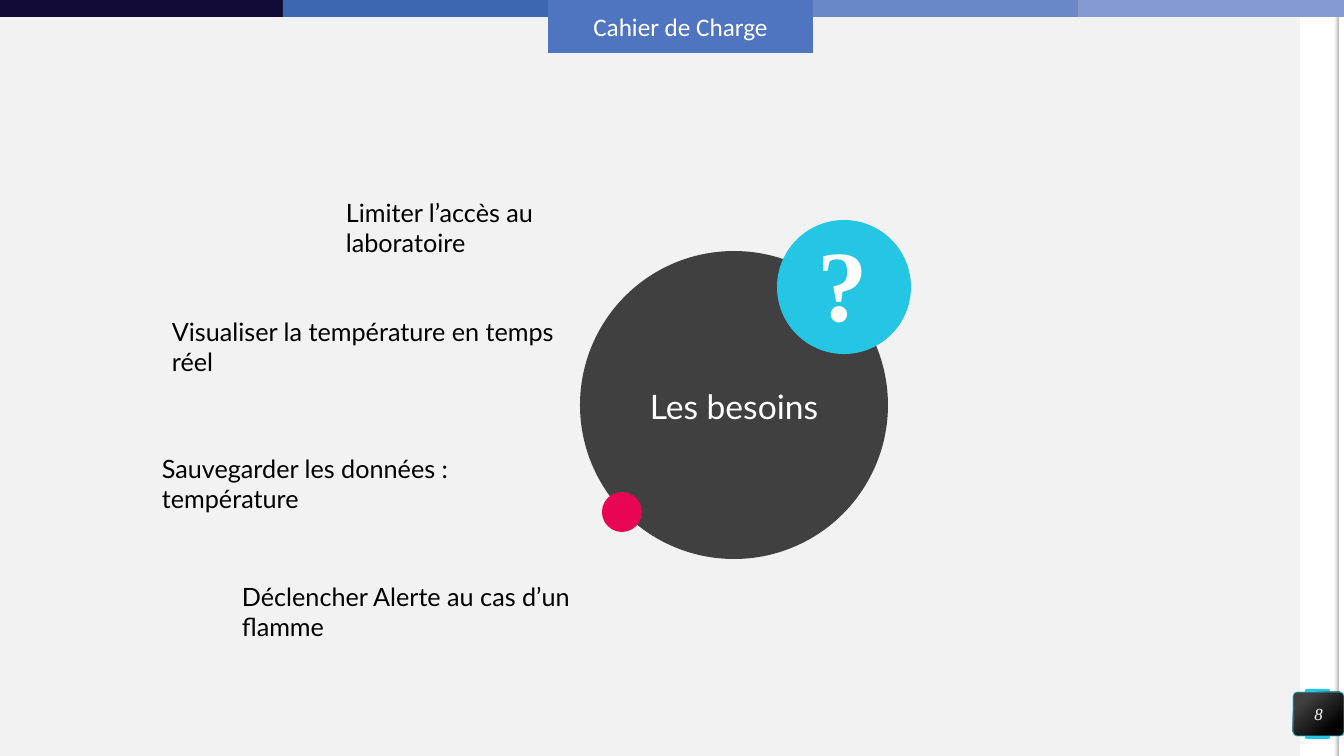
from lxml import etree
from pptx import Presentation
from pptx.dml.color import RGBColor
from pptx.enum.shapes import MSO_SHAPE
from pptx.enum.text import MSO_ANCHOR, PP_ALIGN
from pptx.oxml.ns import qn
from pptx.util import Pt

RECT, ROUND, OVAL = MSO_SHAPE.RECTANGLE, MSO_SHAPE.ROUNDED_RECTANGLE, MSO_SHAPE.OVAL
MIDDLE, CENTER = MSO_ANCHOR.MIDDLE, PP_ALIGN.CENTER
PX = 914400 / 100.8
W, H = 1344, 756

prs = Presentation()
prs.slide_width, prs.slide_height = round(W * PX), round(H * PX)
slide = prs.slides.add_slide(prs.slide_layouts[5])
rgb = RGBColor.from_string
slide.background.fill.solid()
slide.background.fill.fore_color.rgb = rgb("F2F2F2")


def add_block(kind, box, color):
    sp = slide.shapes.add_shape(kind, *[round(v * PX) for v in box])
    sp.shadow.inherit = False
    sp.fill.solid()
    sp.fill.fore_color.rgb = rgb(color)
    sp.line.fill.background()
    return sp


def write(sp, text, size, font, color, align=None, margin=None):
    tf = sp.text_frame
    tf.word_wrap = True
    if margin is not None:
        tf.margin_left = tf.margin_right = tf.margin_top = tf.margin_bottom = margin
    p = tf.paragraphs[0]
    p.alignment = align
    r = p.add_run()
    r.text = text
    r.font.size, r.font.name = Pt(size), font
    r.font.color.rgb = rgb(color)
    return p, r


# Right margin and its shaded edge
add_block(RECT, (1300, 0, 40, H), "FFFFFF")
tab = add_block(ROUND, (1305, 689, 25, 50), "25C6E3")
tab.adjustments[0] = 0.07
add_block(RECT, (1339, 0, 5, H), "FFFFFF")
edge = add_block(RECT, (1334, 0, 5, H), "A6A6A6")
edge.fill.gradient()
edge.fill.gradient_angle = 0
for stop, color in zip(edge.fill.gradient_stops, ("F2F2F2", "A6A6A6")):
    stop.color.rgb = rgb(color)
clear = next(edge._element.spPr.iter(qn("a:srgbClr")))
etree.SubElement(clear, qn("a:alpha"), val="0")

# Central circles
needs = add_block(OVAL, (580, 251, 308, 308), "404040")
needs.text_frame.vertical_anchor = MIDDLE
p, r = write(needs, "Les besoins", 24, "Lato", "FFFFFF", CENTER)
p.line_spacing = Pt(30)
add_block(OVAL, (777, 220, 134, 134), "25C6E3")
add_block(OVAL, (602, 492, 40, 40), "E80554")
mark = slide.shapes.add_textbox(*[round(v * PX) for v in (777, 234, 131, 131)])
p, r = write(mark, "?", 72, "Times New Roman", "FFFFFF", CENTER, 0)
p.line_spacing = 0.9
r.font.bold = True
r.font._element.set("spc", "-150")

# Page number badge
badge = add_block(ROUND, (1293, 692, 51, 44), "000000")
badge.adjustments[0] = 0.1
badge.fill.gradient()
badge.fill.gradient_angle = 310
for stop, color, position in zip(badge.fill.gradient_stops, ("404040", "000000"), (0.2, 0.82)):
    stop.color.rgb = rgb(color)
    stop.position = position
badge.line.color.rgb = rgb("25C6E3")
badge.line.width = Pt(0.5)
badge.text_frame.vertical_anchor = MIDDLE
p, r = write(badge, "8", 12, "Times New Roman", "FFFFFF", CENTER, 0)
r.font.italic = True

# Needs
for x, y, w, text in (
    (336, 192, 317, "Limiter l’accès au laboratoire"),
    (162, 311, 433, "Visualiser la température en temps réel"),
    (152, 448, 427, "Sauvegarder les données : température"),
    (232, 576, 413, "Déclencher Alerte au cas d’un flamme"),
):
    need = slide.shapes.add_textbox(*[round(v * PX) for v in (x, y, w, 40)])
    write(need, text, 18, "Lato", "000000")

# Section bar, with the current section as the title
for x, w, color in ((0, 283, "130B37"), (283, 265, "3D67B1"),
                    (813, 265, "6A87C8"), (1078, 266, "849AD0")):
    add_block(RECT, (x, 0, w, 17), color)
title = slide.shapes.title
title.left, title.top, title.width, title.height = [round(v * PX) for v in (548, 0, 265, 53)]
title.fill.solid()
title.fill.fore_color.rgb = rgb("5075C0")
title.text_frame.vertical_anchor = MIDDLE
write(title, "Cahier de Charge", 18, "Calibri", "FFFFFF", CENTER)

prs.save("out.pptx")
